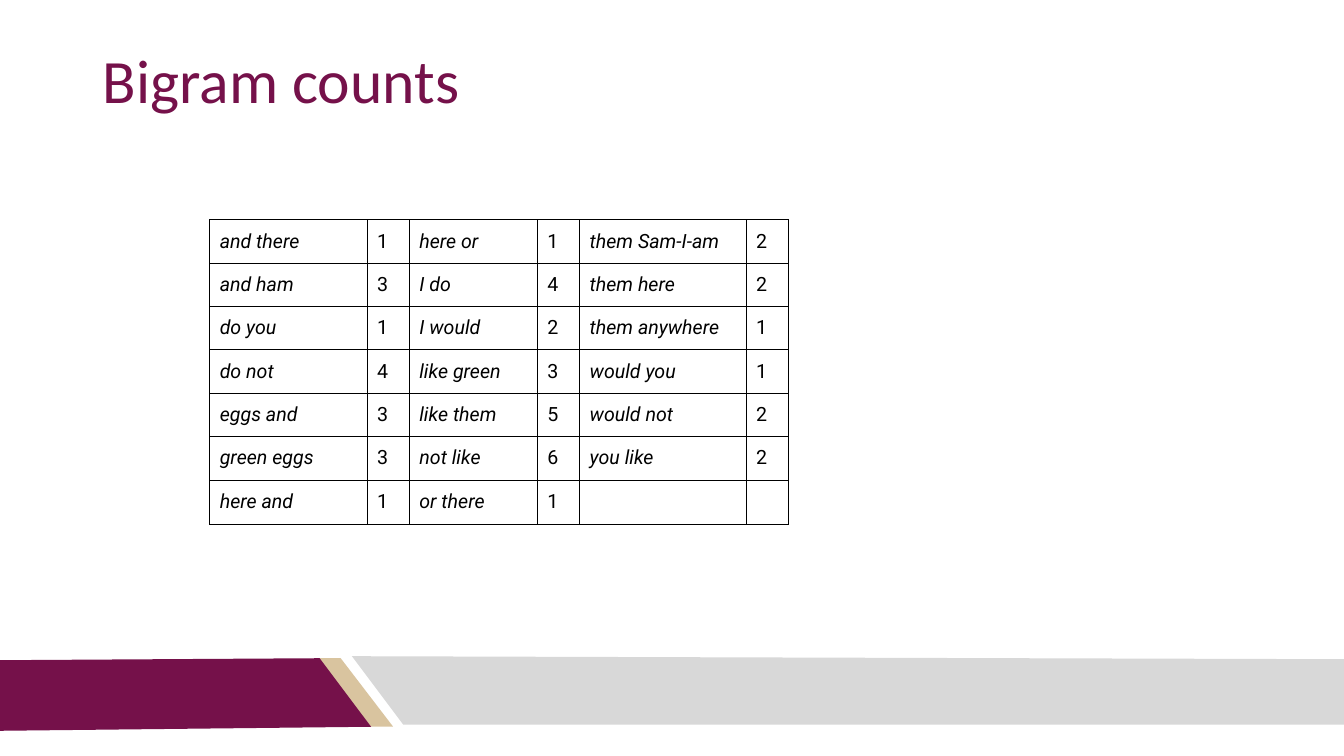
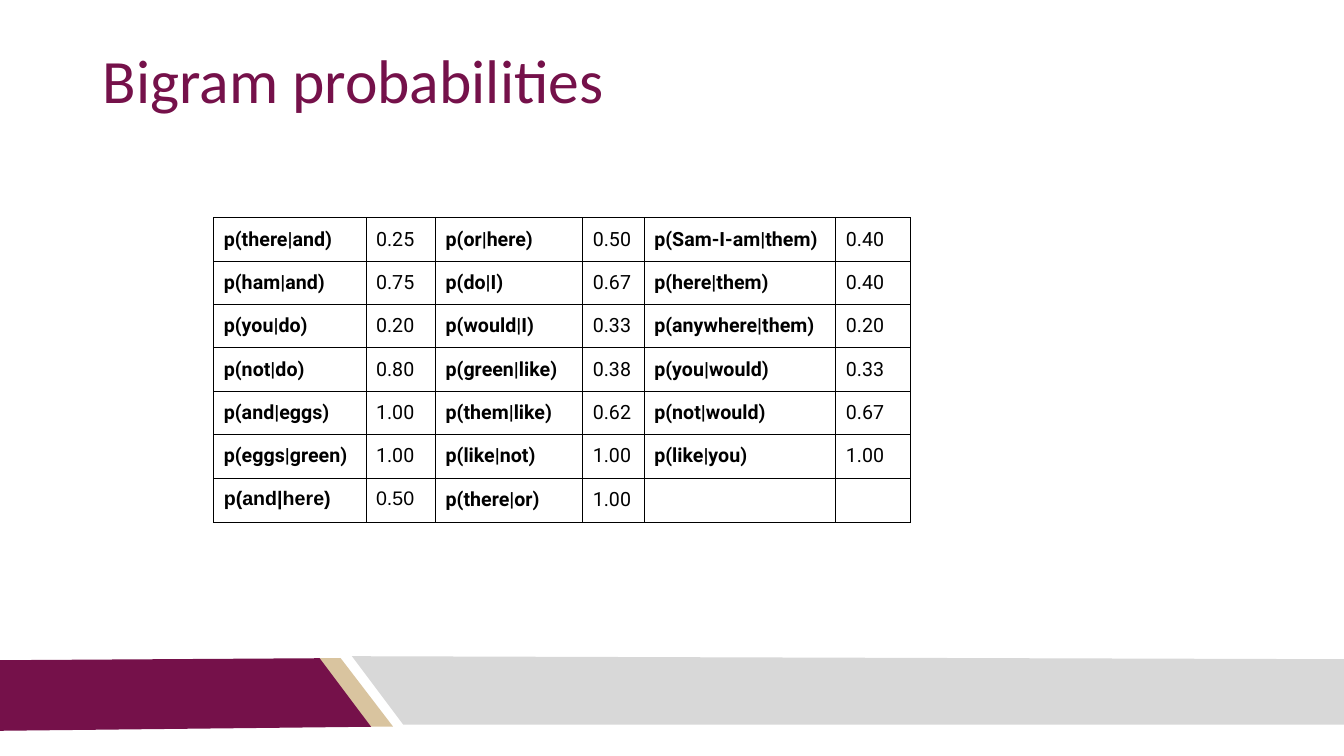
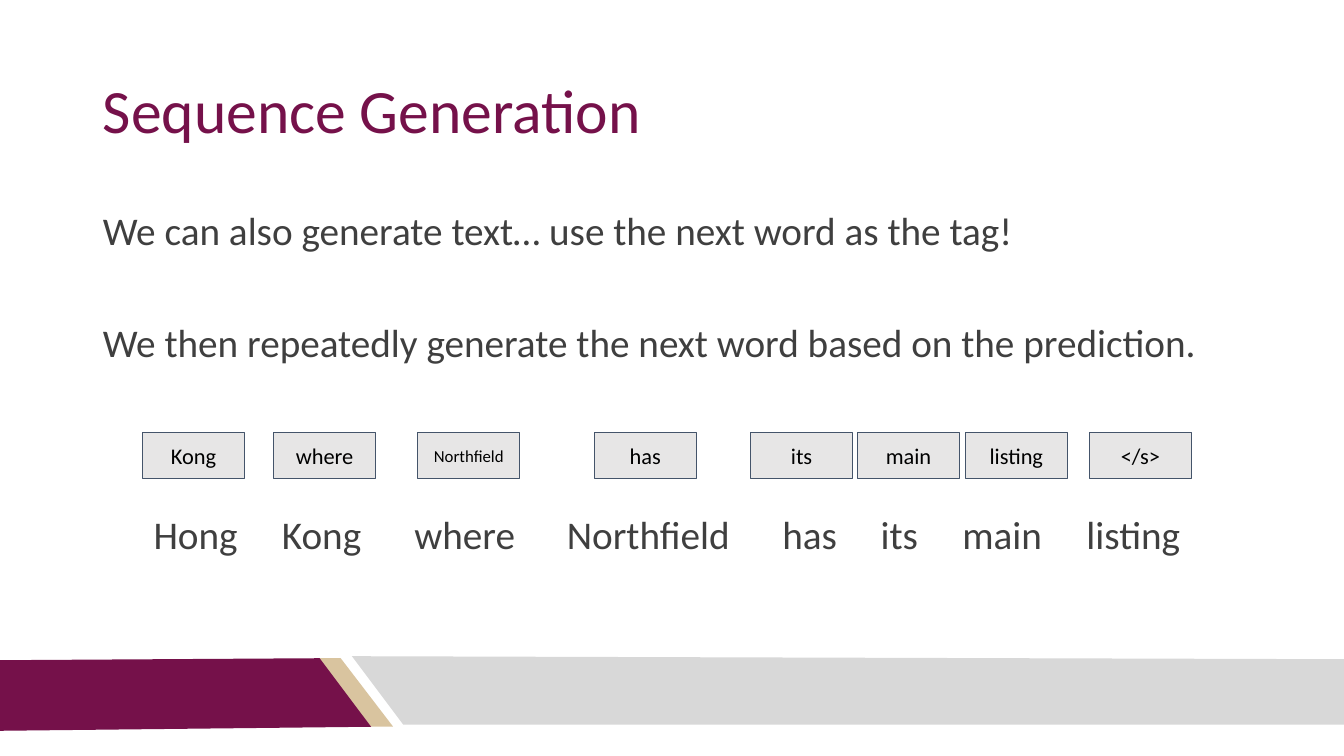
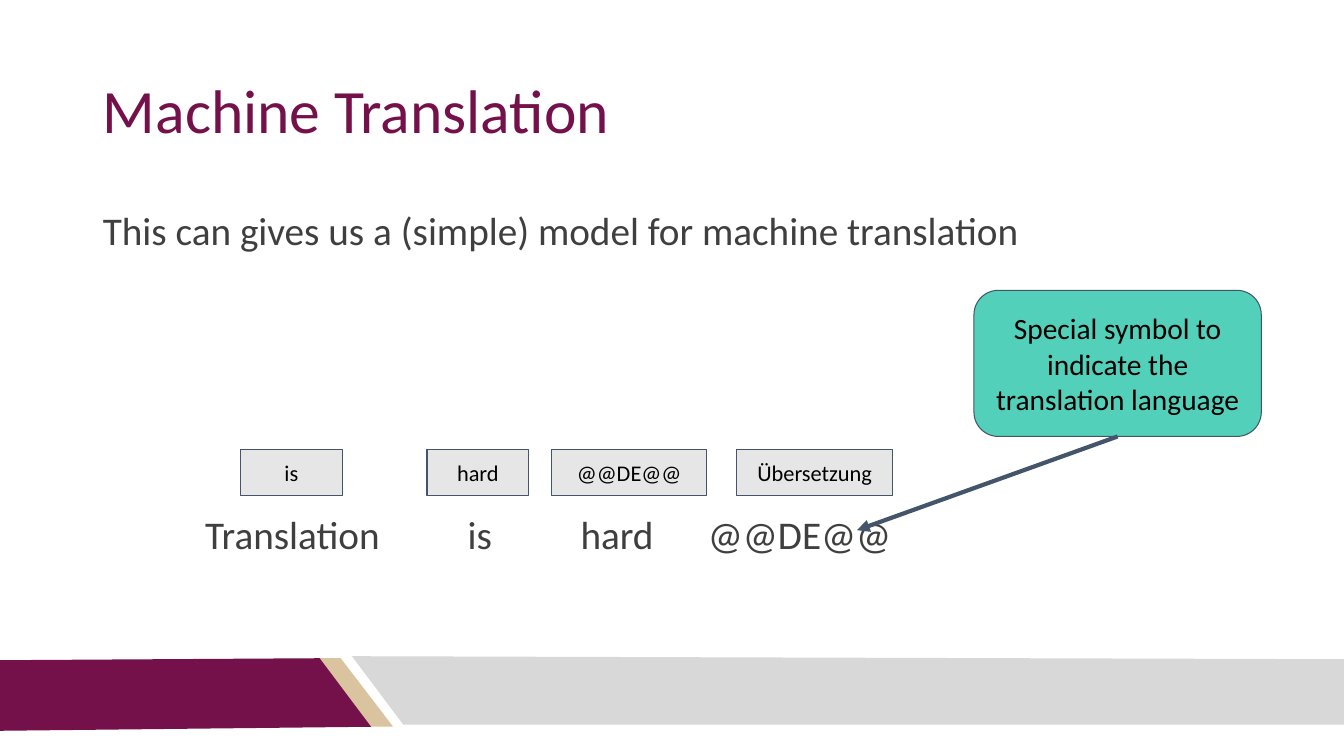
from dataclasses import dataclass

from pptx import Presentation
from pptx.dml.color import RGBColor
from pptx.enum.shapes import MSO_CONNECTOR, MSO_SHAPE
from pptx.enum.text import MSO_ANCHOR, MSO_AUTO_SIZE, PP_ALIGN
from pptx.oxml.xmlchemy import OxmlElement
from pptx.util import Inches, Pt


@dataclass(frozen=True)
class Theme:
    maroon: RGBColor = RGBColor.from_string("75114A")
    gold: RGBColor = RGBColor.from_string("D9C49F")
    silver: RGBColor = RGBColor.from_string("D8D8D8")
    body: RGBColor = RGBColor.from_string("3F3F3F")
    black: RGBColor = RGBColor.from_string("000000")
    slate: RGBColor = RGBColor.from_string("44546A")
    tag: RGBColor = RGBColor.from_string("E7E6E6")
    mint: RGBColor = RGBColor.from_string("52D0B9")
    font: str = "Calibri"
    table_font: str = "Roboto"
    fallback_font: str = "Arial"
    title_size: int = 44
    body_size: int = 28
    callout_size: int = 21
    tag_size: int = 16
    small_tag_size: int = 12
    table_size: int = 14
    inset: float = 0.1
    outline: float = 0.75
    arrow: float = 3
    line_spacing: float = 0.9


@dataclass(frozen=True)
class Box:
    left: float
    top: float
    width: float
    height: float

    def emu(self):
        return [Inches(v) for v in (self.left, self.top, self.width, self.height)]


@dataclass(frozen=True)
class Step:
    word: str
    word_center: float
    word_width: float
    tag: str
    tag_center: float
    tag_width: float = 1.01
    tag_size: int = Theme.tag_size


THEME = Theme()
TITLE_BOX = Box(0.92, 0.4, 11.5, 1.45)
WORD_TOP = 5.02
WORD_HEIGHT = 0.65
TAG_HEIGHT = 0.46
ROW_HEIGHT = 0.43

BANDS = [
    (THEME.gold, [(3.16, 6.53), (3.38, 6.53), (3.9, 7.21), (3.67, 7.21)]),
    (THEME.maroon, [(-0.01, 6.55), (3.17, 6.53), (3.68, 7.21), (-0.01, 7.25)]),
    (THEME.silver, [(13.37, 7.19), (4, 7.19), (3.49, 6.51), (13.34, 6.54)]),
]

COUNTS = [
    ("and there", "1", "here or", "1", "them Sam-I-am", "2"),
    ("and ham", "3", "I do", "4", "them here", "2"),
    ("do you", "1", "I would", "2", "them anywhere", "1"),
    ("do not", "4", "like green", "3", "would you", "1"),
    ("eggs and", "3", "like them", "5", "would not", "2"),
    ("green eggs", "3", "not like", "6", "you like", "2"),
    ("here and", "1", "or there", "1", "", ""),
]

PROBABILITIES = [
    ("p(there|and)", "0.25", "p(or|here)", "0.50", "p(Sam-I-am|them)", "0.40"),
    ("p(ham|and)", "0.75", "p(do|I)", "0.67", "p(here|them)", "0.40"),
    ("p(you|do)", "0.20", "p(would|I)", "0.33", "p(anywhere|them)", "0.20"),
    ("p(not|do)", "0.80", "p(green|like)", "0.38", "p(you|would)", "0.33"),
    ("p(and|eggs)", "1.00", "p(them|like)", "0.62", "p(not|would)", "0.67"),
    ("p(eggs|green)", "1.00", "p(like|not)", "1.00", "p(like|you)", "1.00"),
    ("p(and|here)", "0.50", "p(there|or)", "1.00", "", ""),
]

GENERATION = [
    Step("Hong", 1.94, 1.1, "Kong", 1.92),
    Step("Kong", 3.19, 1.1, "where", 3.22),
    Step("where", 4.61, 1.2, "Northfield", 4.65, tag_size=THEME.small_tag_size),
    Step("Northfield", 6.43, 2.1, "has", 6.4),
    Step("has", 8.03, 0.8, "its", 7.95),
    Step("its", 8.92, 0.7, "main", 9.01),
    Step("main", 9.94, 1.1, "listing", 10.08),
    Step("listing", 11.24, 1.2, "</s>", 11.31),
]

TRANSLATION = [
    Step("Translation", 2.9, 2.1, "is", 2.89),
    Step("is", 4.76, 0.6, "hard", 4.74),
    Step("hard", 6.12, 1.1, "@@DE@@", 6.24, 1.54),
    Step("@@DE@@", 7.93, 2.1, "Übersetzung", 8.08, 1.54),
]


def add_run(paragraph, text, size, color, font=THEME.font, bold=False, italic=False):
    run = paragraph.add_run()
    run.text = text
    run.font.size = Pt(size)
    run.font.name = font
    run.font.color.rgb = color
    run.font.bold = bold
    run.font.italic = italic


def set_insets(holder):
    inset = Inches(THEME.inset)
    holder.margin_left = holder.margin_right = inset
    holder.margin_top = holder.margin_bottom = inset


def prepare_frame(shape, anchor):
    frame = shape.text_frame
    frame.word_wrap = True
    frame.auto_size = MSO_AUTO_SIZE.NONE
    frame.vertical_anchor = anchor
    set_insets(frame)
    return frame


def place(shape, box):
    shape.left, shape.top, shape.width, shape.height = box.emu()


def install_bands(prs, slide):
    master_tree = prs.slide_master.shapes.element
    for position, (color, corners) in enumerate(BANDS, start=2):
        points = [(Inches(x), Inches(y)) for x, y in corners]
        outline = slide.shapes.build_freeform(*points[0], scale=1.0)
        outline.add_line_segments(points[1:], close=True)
        band = outline.convert_to_shape()
        band.shadow.inherit = False
        band.fill.solid()
        band.fill.fore_color.rgb = color
        band.line.fill.background()
        master_tree.insert(position, band.element)


def add_title(slide, text, anchor):
    title = slide.shapes.title
    place(title, TITLE_BOX)
    paragraph = prepare_frame(title, anchor).paragraphs[0]
    paragraph.alignment = PP_ALIGN.LEFT
    paragraph.line_spacing = THEME.line_spacing
    add_run(paragraph, text, THEME.title_size, THEME.maroon)


def format_plain(paragraph, space_before):
    properties = paragraph._p.get_or_add_pPr()
    properties.set("marL", "0")
    properties.set("indent", "0")
    properties.append(OxmlElement("a:buNone"))
    paragraph.alignment = PP_ALIGN.LEFT
    paragraph.line_spacing = THEME.line_spacing
    paragraph.space_before = Pt(space_before)


def add_statements(body, box, statements):
    place(body, box)
    frame = prepare_frame(body, MSO_ANCHOR.TOP)
    for index, statement in enumerate(statements):
        paragraph = frame.add_paragraph() if index else frame.paragraphs[0]
        format_plain(paragraph, 50 if index else 0)
        add_run(paragraph, statement, THEME.body_size, THEME.body)


def centered_box(center, top, width, height):
    return Box(center - width / 2, top, width, height)


def add_words(slide, top, steps):
    for step in steps:
        box = centered_box(step.word_center, top, step.word_width, WORD_HEIGHT)
        word = slide.shapes.add_textbox(*box.emu())
        frame = prepare_frame(word, MSO_ANCHOR.TOP)
        frame.margin_left = frame.margin_right = 0
        paragraph = frame.paragraphs[0]
        paragraph.alignment = PP_ALIGN.CENTER
        paragraph.line_spacing = THEME.line_spacing
        add_run(paragraph, step.word, THEME.body_size, THEME.body)


def add_label(slide, kind, box, text, size, fill):
    label = slide.shapes.add_shape(kind, *box.emu())
    label.shadow.inherit = False
    label.fill.solid()
    label.fill.fore_color.rgb = fill
    label.line.color.rgb = THEME.slate
    label.line.width = Pt(THEME.outline)
    paragraph = prepare_frame(label, MSO_ANCHOR.MIDDLE).paragraphs[0]
    paragraph.alignment = PP_ALIGN.CENTER
    add_run(paragraph, text, size, THEME.black)
    return label


def add_tags(slide, top, steps):
    for step in steps:
        box = centered_box(step.tag_center, top, step.tag_width, TAG_HEIGHT)
        add_label(slide, MSO_SHAPE.RECTANGLE, box, step.tag, step.tag_size, THEME.tag)


def add_callout(slide, box, text, target):
    callout = add_label(slide, MSO_SHAPE.ROUNDED_RECTANGLE, box, text,
                        THEME.callout_size, THEME.mint)
    callout.adjustments[0] = 0.167
    start = (box.left + box.width / 2, box.top + box.height)
    arrow = slide.shapes.add_connector(
        MSO_CONNECTOR.STRAIGHT, *[Inches(v) for v in start + target])
    arrow.line.color.rgb = THEME.slate
    arrow.line.width = Pt(THEME.arrow)
    head = OxmlElement("a:tailEnd")
    head.set("type", "triangle")
    arrow.line._get_or_add_ln().append(head)
    arrow.element.spPr.append(OxmlElement("a:effectLst"))


def add_borders(cell):
    properties = cell._tc.get_or_add_tcPr()
    for index, side in enumerate(("a:lnL", "a:lnR", "a:lnT", "a:lnB")):
        border = OxmlElement(side)
        border.set("w", str(Pt(THEME.outline)))
        fill = OxmlElement("a:solidFill")
        color = OxmlElement("a:srgbClr")
        color.set("val", str(THEME.black))
        fill.append(color)
        border.append(fill)
        properties.insert(index, border)


def fill_cell(cell, text, font, bold, italic):
    set_insets(cell)
    cell.fill.background()
    add_borders(cell)
    paragraph = cell.text_frame.paragraphs[0]
    if text:
        add_run(paragraph, text, THEME.table_size, THEME.black, font, bold, italic)
    else:
        blank = OxmlElement("a:endParaRPr")
        blank.set("sz", str(THEME.table_size * 100))
        paragraph._p.append(blank)


def add_bigram_table(slide, left, top, widths, rows, bold=False, italic=False,
                     fallback_cells=()):
    box = Box(left, top, sum(widths), ROW_HEIGHT * len(rows))
    table = slide.shapes.add_table(len(rows), len(widths), *box.emu()).table
    table.first_row = False
    table.horz_banding = False
    for column, width in zip(table.columns, widths):
        column.width = Inches(width)
    for row_index, row in enumerate(rows):
        table.rows[row_index].height = Inches(ROW_HEIGHT)
        for column_index, text in enumerate(row):
            is_label = column_index % 2 == 0
            is_fallback = (row_index, column_index) in fallback_cells
            font = THEME.fallback_font if is_fallback else THEME.table_font
            fill_cell(table.cell(row_index, column_index), text, font,
                      bold and is_label, italic and is_label)


def build_table_slide(prs, title, left, top, widths, rows, **style):
    slide = prs.slides.add_slide(prs.slide_layouts.get_by_name("Title Only"))
    add_title(slide, title, MSO_ANCHOR.TOP)
    add_bigram_table(slide, left, top, widths, rows, **style)
    return slide


def build_sequence_slide(prs, title, statements, statement_box, tag_top, steps):
    slide = prs.slides.add_slide(prs.slide_layouts.get_by_name("Title and Content"))
    add_title(slide, title, MSO_ANCHOR.MIDDLE)
    add_statements(slide.placeholders[1], statement_box, statements)
    add_words(slide, WORD_TOP, steps)
    add_tags(slide, tag_top, steps)
    return slide


def main():
    prs = Presentation()
    prs.slide_width = Inches(13.33)
    prs.slide_height = Inches(7.5)

    counts = build_table_slide(
        prs, "Bigram counts", 2.08, 2.18,
        (1.56, 0.42, 1.27, 0.42, 1.65, 0.42), COUNTS, italic=True)
    install_bands(prs, counts)

    build_table_slide(
        prs, "Bigram probabilities", 2.12, 2.16,
        (1.51, 0.69, 1.46, 0.61, 1.9, 0.74), PROBABILITIES, bold=True,
        fallback_cells={(6, 0), (6, 1)})

    build_sequence_slide(
        prs, "Sequence Generation",
        ["We can also generate text… use the next word as the tag!",
         "We then repeatedly generate the next word based on the prediction."],
        Box(0.92, 2, 11.5, 1.88), 4.29, GENERATION)

    translation = build_sequence_slide(
        prs, "Machine Translation",
        ["This can gives us a (simple) model for machine translation"],
        Box(0.92, 2, 11.5, 0.8), 4.46, TRANSLATION)
    add_callout(translation, Box(9.66, 2.88, 2.85, 1.45),
                "Special symbol to indicate the translation language", (8.5, 5.26))

    prs.save("out.pptx")


if __name__ == "__main__":
    main()
